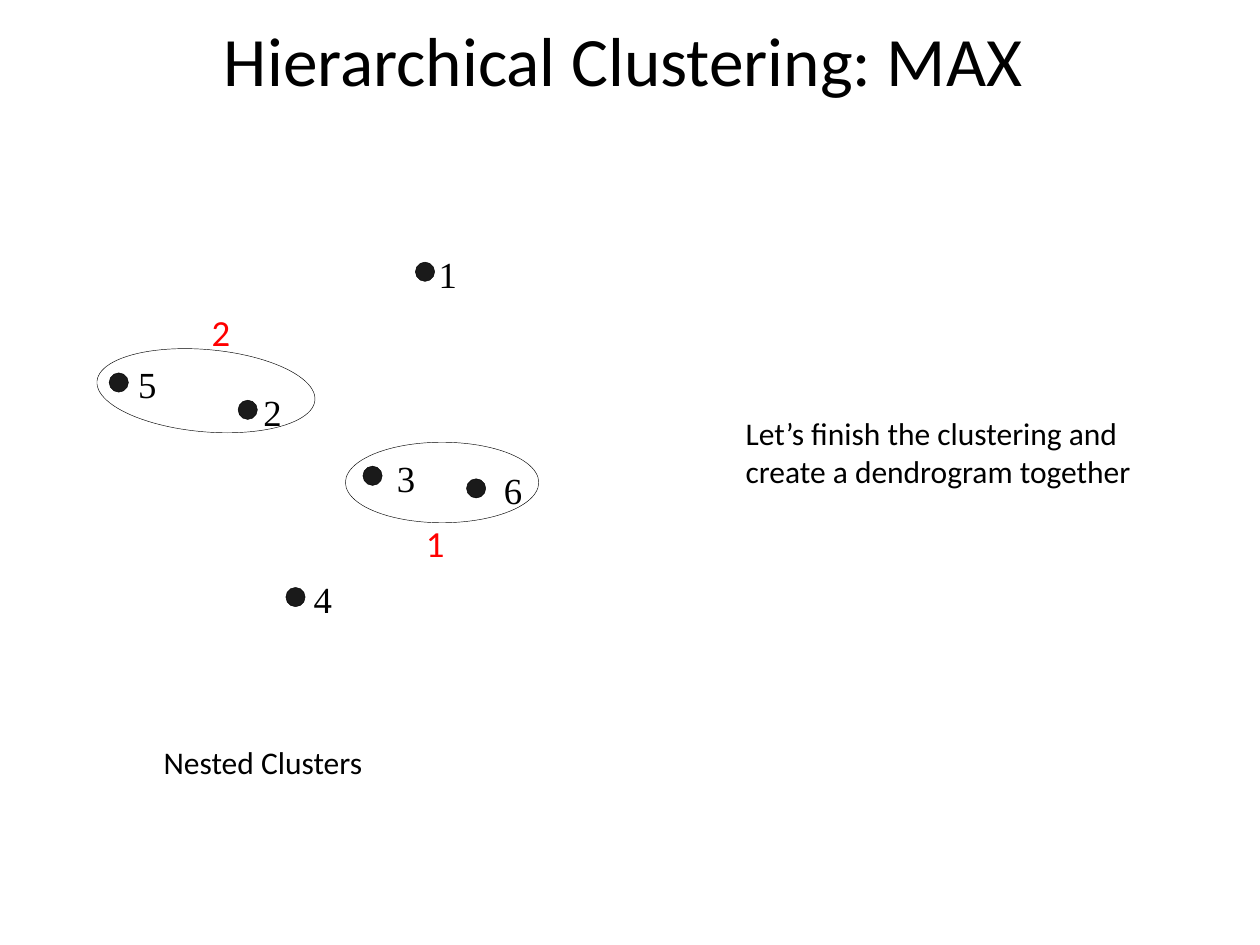
from pptx import Presentation
from pptx.dml.color import RGBColor
from pptx.enum.shapes import MSO_SHAPE
from pptx.enum.text import MSO_ANCHOR, MSO_AUTO_SIZE, PP_ALIGN
from pptx.util import Pt


def color(hex_value):
    return RGBColor.from_string(hex_value)


class ClusterSlide:
    """Draw a titled slide of labelled points and clusters in one style."""

    SANS, SERIF = "Calibri", "Times New Roman"
    BLACK, DOT, RED = "000000", "1A1A1A", "FF0000"
    DOT_SIZE = 11

    def __init__(self, deck):
        self.slide = deck.slides.add_slide(deck.slide_layouts[5])

    def set_wording(self, frame, wording, size, font, ink):
        frame.text = wording
        for run in frame.paragraphs[0].runs:
            run.font.size = Pt(size)
            run.font.name = font
            run.font.color.rgb = color(ink)

    def title(self, wording, left, top, width, height):
        heading = self.slide.shapes.title
        heading.left, heading.top = Pt(left), Pt(top)
        heading.width, heading.height = Pt(width), Pt(height)
        frame = heading.text_frame
        self.set_wording(frame, wording, 39.6, self.SANS, self.BLACK)
        frame.auto_size = MSO_AUTO_SIZE.NONE
        frame.vertical_anchor = MSO_ANCHOR.MIDDLE
        frame.paragraphs[0].alignment = PP_ALIGN.CENTER

    def caption(self, wording, *box):
        frame = self.slide.shapes.add_textbox(*map(Pt, box)).text_frame
        frame.word_wrap = True
        self.set_wording(frame, wording, 18, self.SANS, self.BLACK)

    def number(self, wording, left, top, font, ink):
        frame = self.slide.shapes.add_textbox(Pt(left), Pt(top), Pt(11), Pt(25)).text_frame
        frame.margin_left = frame.margin_right = 0
        frame.margin_top = frame.margin_bottom = 0
        frame.word_wrap = False
        self.set_wording(frame, wording, 21, font, ink)

    def oval(self, left, top, width, height, fill=None, rotation=0):
        outline = self.slide.shapes.add_shape(
            MSO_SHAPE.OVAL, Pt(left), Pt(top), Pt(width), Pt(height))
        outline.shadow.inherit = False
        outline.rotation = rotation
        outline.line.color.rgb = color(self.BLACK)
        outline.line.width = Pt(0.25)
        if fill:
            outline.fill.solid()
            outline.fill.fore_color.rgb = color(fill)
        else:
            outline.fill.background()

    def point(self, label, left, top, label_gap):
        self.oval(left, top, self.DOT_SIZE, self.DOT_SIZE, self.DOT)
        self.number(label, left + label_gap, top - 6.2, self.SERIF, self.BLACK)

    def cluster(self, label, label_left, label_top, box, rotation):
        self.oval(*box, rotation=rotation)
        self.number(label, label_left, label_top, self.SANS, self.RED)


POINTS = [
    ("1", 237.4, 149.8, 13.2),
    ("2", 136.1, 228.7, 14.4),
    ("3", 207.4, 266.4, 19.4),
    ("4", 163.4, 335.7, 15.9),
    ("5", 62.4, 213.1, 16.6),
    ("6", 266.6, 273.6, 21.4),
]
CLUSTERS = [
    ("1", 243.4, 297.4, (197.4, 252.7, 110.5, 46), 0),
    ("2", 121, 177.1, (55.2, 199.8, 125, 47), 5),
]


def main():
    deck = Presentation()
    deck.slide_width, deck.slide_height = Pt(720), Pt(540)
    page = ClusterSlide(deck)
    page.title("Hierarchical Clustering: MAX", 30, 12, 652.5, 43.5)
    page.caption("Nested Clusters", 86.4, 421.2, 264, 29)
    for point in POINTS:
        page.point(*point)
    for cluster in CLUSTERS:
        page.cluster(*cluster)
    page.caption("Let’s finish the clustering and create a dendrogram together",
                 419, 233.3, 263, 51)
    deck.save("out.pptx")


if __name__ == "__main__":
    main()
